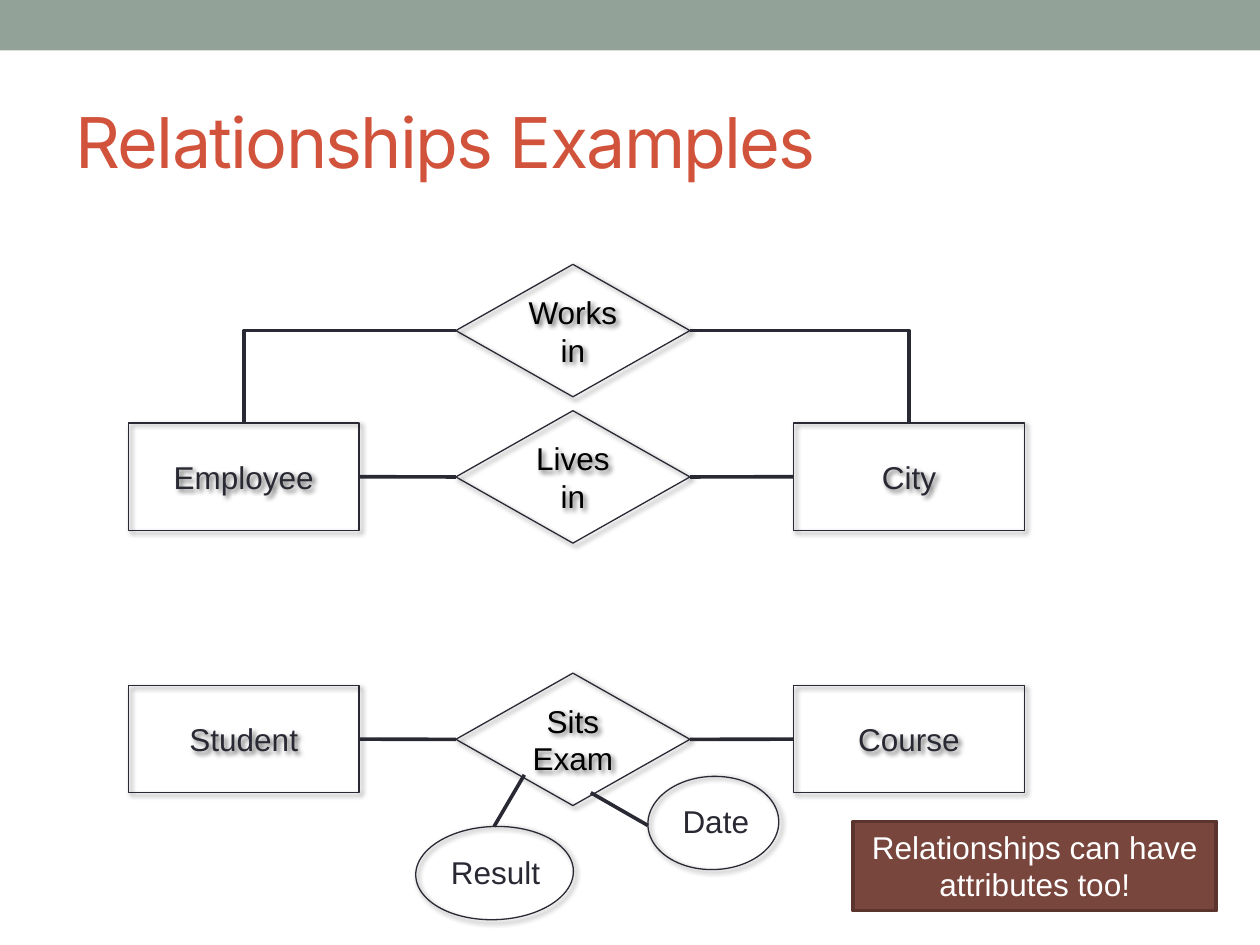
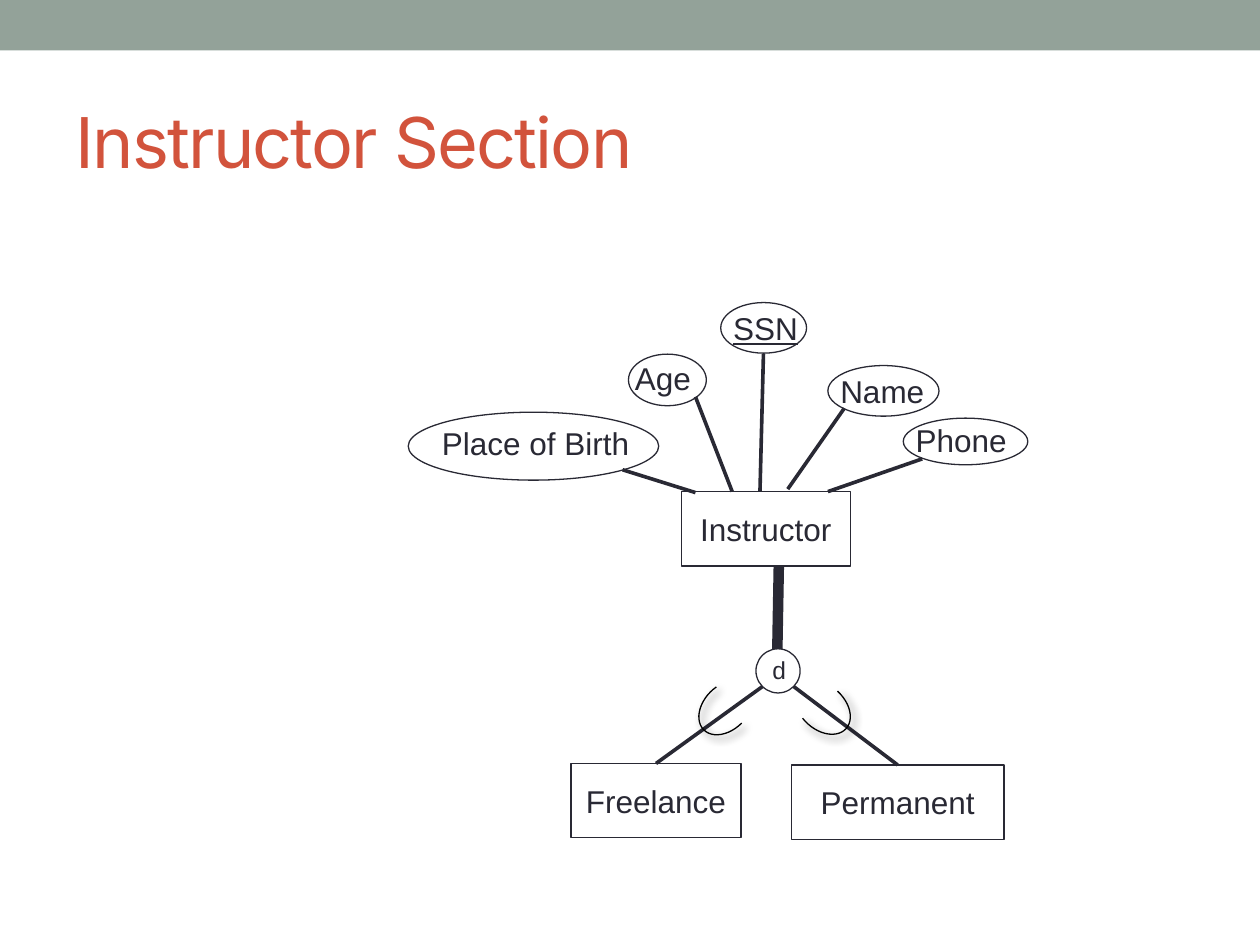
"""Build two entity-relationship diagram slides."""
from lxml.etree import SubElement
from pptx import Presentation
from pptx.dml.color import RGBColor
from pptx.enum.shapes import MSO_CONNECTOR, MSO_SHAPE
from pptx.enum.text import MSO_ANCHOR, MSO_AUTO_SIZE, PP_ALIGN
from pptx.oxml.ns import qn
from pptx.util import Cm, Pt

THEME = {
    "band": RGBColor.from_string("93A299"),
    "title": RGBColor.from_string("D2533C"),
    "ink": RGBColor.from_string("292934"),
    "black": RGBColor.from_string("000000"),
    "white": RGBColor.from_string("FFFFFF"),
    "note": RGBColor.from_string("79463D"),
    "note_line": RGBColor.from_string("5A342D"),
    "title_font": {"name": "Inter", "size": Pt(40), "bold": False},
    "body_font": {"name": "Arial", "size": Pt(18)},
    "small_font": {"name": "Arial", "size": Pt(14)},
    "key_font": {"name": "Arial", "size": Pt(18), "underline": True},
    "thin": Pt(0.75),
    "link": Pt(2.08),
    "heavy": Pt(6),
    "soft": (60, 3, 2),
    "deep": (75, 5, 3),
}


def add_node(s, kind, box, text="", color="ink", font="body_font", line="ink",
             fill=None, shadow=None, wrap=True):
    """Add an outlined shape, or a plain label when kind is None."""
    box = [Cm(v) for v in box]
    if kind is None:
        sp = s.shapes.add_textbox(*box)
    else:
        sp = s.shapes.add_shape(kind, *box)
        sp.shadow.inherit = False
        if fill:
            sp.fill.solid()
            sp.fill.fore_color.rgb = THEME[fill]
        else:
            sp.fill.background()
        if line:
            sp.line.color.rgb = THEME[line]
            sp.line.width = THEME["thin"]
        else:
            sp.line.fill.background()
    if shadow:
        alpha, blur, dist = THEME[shadow]
        effects = sp.element.spPr.find(qn("a:effectLst"))
        outer = SubElement(effects, qn("a:outerShdw"), blurRad=str(Pt(blur)),
                           dist=str(Pt(dist)), dir="2700000", algn="tl", rotWithShape="0")
        clr = SubElement(outer, qn("a:srgbClr"), val="000000")
        SubElement(clr, qn("a:alpha"), val=str(alpha * 1000))
    if text:
        tf = sp.text_frame
        tf.text = text
        tf.word_wrap = wrap
        tf.vertical_anchor = MSO_ANCHOR.MIDDLE if kind else MSO_ANCHOR.TOP
        if kind is None:
            tf.auto_size = MSO_AUTO_SIZE.SHAPE_TO_FIT_TEXT
        for p in tf.paragraphs:
            p.alignment = PP_ALIGN.CENTER if kind else PP_ALIGN.LEFT
            for r in p.runs:
                r.font.color.rgb = THEME[color]
                for name, value in THEME[font].items():
                    setattr(r.font, name, value)
    return sp


def add_link(s, start, end, width="link", kind=MSO_CONNECTOR.STRAIGHT):
    """Add a line; each end is a point in cm or a (shape, side) pair."""
    joined = [hasattr(e[0], "shape_id") for e in (start, end)]
    points = [(0, 0) if j else e for j, e in zip(joined, (start, end))]
    cx = s.shapes.add_connector(kind, *(Cm(v) for pt in points for v in pt))
    cx.line.color.rgb = THEME["ink"]
    cx.line.width = THEME[width]
    SubElement(cx.element.spPr, qn("a:effectLst"))
    if joined[0]:
        cx.begin_connect(*start)
    if joined[1]:
        cx.end_connect(*end)
    return cx


prs = Presentation()
prs.slide_width, prs.slide_height = Cm(25.4), Cm(19.05)

slides = []
for title in ("Relationships Examples", "Instructor Section"):
    s = prs.slides.add_slide(prs.slide_layouts[5])
    sp = s.shapes.title
    sp.left, sp.top, sp.width, sp.height = Cm(1.27), Cm(1.47), Cm(22.86), Cm(2.74)
    tf = sp.text_frame
    tf.text = title
    tf.auto_size = MSO_AUTO_SIZE.NONE
    tf.vertical_anchor = MSO_ANCHOR.MIDDLE
    p = tf.paragraphs[0]
    p.alignment = PP_ALIGN.LEFT
    r = p.runs[0]
    r.font.color.rgb = THEME["title"]
    for name, value in THEME["title_font"].items():
        setattr(r.font, name, value)
    r.font._element.set("spc", "-100")
    slides.append(s)

band = add_node(slides[0], MSO_SHAPE.RECTANGLE, (0, 0, 25.4, 1.02), fill="band", line=None)
prs.slide_master.shapes.element.insert(2, band.element)

s = slides[0]
works = add_node(s, MSO_SHAPE.DIAMOND, (9.19, 5.33, 4.72, 2.67), "Works in", "black",
                 shadow="soft")
rows = (
    (9.61, "Employee", "Lives in", "City"),
    (14.9, "Student", "Sits\nExam", "Course"),
)
entities = []
for middle, left_name, relation, right_name in rows:
    left, right = (
        add_node(s, MSO_SHAPE.RECTANGLE, (x, middle - 1.08, 4.65, 2.16), name, shadow="soft")
        for x, name in ((2.59, left_name), (16, right_name))
    )
    diamond = add_node(s, MSO_SHAPE.DIAMOND, (9.19, middle - 1.33, 4.72, 2.67), relation,
                       "black", shadow="soft")
    add_link(s, (left, 3), (diamond, 1))
    add_link(s, (diamond, 3), (right, 1))
    entities.append((left, right))

employee, city = entities[0]
for entity, side, turn, flip_h in ((employee, 1, 90, "1"), (city, 3, 270, "0")):
    cx = add_link(s, (entity, 0), (works, side), kind=MSO_CONNECTOR.ELBOW)
    mid_x, mid_y = cx.left + cx.width // 2, cx.top + cx.height // 2
    w, h = cx.height, cx.width
    cx.left, cx.top, cx.width, cx.height = mid_x - w // 2, mid_y - h // 2, w, h
    xfrm = cx.element.spPr.find(qn("a:xfrm"))
    for name, value in {"rot": str(turn * 60000), "flipH": flip_h, "flipV": "1"}.items():
        xfrm.set(name, value)
    cx.element.spPr.find(qn("a:prstGeom")).set("prst", "bentConnector2")

exam_attributes = (
    ("Date", (13.51, 16.05, 1.85, 1.02), (13.06, 15.65, 2.64, 1.88),
     (11.91, 15.98), (13.06, 16.64), False),
    ("Result", (8.84, 17.07, 2.67, 1.02), (8.38, 16.66, 3.18, 1.88),
     (10.57, 15.62), (9.96, 16.66), True),
)
for name, label_box, oval_box, start, end, wrap in exam_attributes:
    add_node(s, None, label_box, name, wrap=wrap)
    add_link(s, start, end)
    oval = add_node(s, MSO_SHAPE.OVAL, oval_box, shadow="soft")
    oval.rotation = 178.1

note = add_node(s, MSO_SHAPE.RECTANGLE, (17.2, 16.56, 7.32, 1.8),
                "Relationships can have attributes too!", "white",
                line="note_line", fill="note")
note.line.width = THEME["link"]
note.text_frame.vertical_anchor = MSO_ANCHOR.TOP
note.text_frame.auto_size = MSO_AUTO_SIZE.SHAPE_TO_FIT_TEXT

s = slides[1]
add_node(s, MSO_SHAPE.RECTANGLE, (13.74, 9.91, 3.4, 1.5), "Instructor")
instructor_attributes = (
    ("SSN", (14.53, 6.1, 1.73, 1.02), (14.53, 6.1, 1.83, 1.02),
     (15.39, 7.14), (15.32, 9.91), "key_font", False),
    ("Age", (12.67, 7.14, 1.57, 1.04), (12.55, 7.11, 1.7, 1.02),
     (14.02, 8), (14.76, 9.91), "body_font", False),
    ("Place of Birth", (8.23, 8.31, 5.05, 1.37), (8.66, 8.43, 4.57, 1.02),
     (12.55, 9.47), (14.02, 9.93), "body_font", True),
    ("Phone", (18.21, 8.43, 2.51, 0.94), (18.21, 8.36, 2.36, 1.02),
     (18.59, 9.25), (16.69, 9.91), "body_font", False),
    ("Name", (16.69, 7.37, 2.24, 1.02), (16.69, 7.37, 2.24, 1.02),
     (17.02, 8.23), (15.88, 9.86), "body_font", False),
)
for name, oval_box, label_box, start, end, font, wrap in instructor_attributes:
    add_node(s, MSO_SHAPE.OVAL, oval_box)
    add_link(s, start, end)
    add_node(s, None, label_box, name, font=font, wrap=wrap)

subclasses = (
    ("Freelance", (11.51, 15.39, 3.43, 1.5), (15.37, 13.84), 14, 134.9),
    ("Permanent", (15.95, 15.42, 4.29, 1.5), (16, 13.84), 15.95, 42.1),
)
for name, box, joint, arc_left, turn in subclasses:
    subclass = add_node(s, MSO_SHAPE.RECTANGLE, box, name)
    add_link(s, (subclass, 0), joint)
    arc = add_node(s, MSO_SHAPE.ARC, (arc_left, 13.82, 1.27, 0.89), line="black",
                   shadow="deep")
    arc.rotation = turn
    for i, degrees in enumerate((270, 110)):
        arc.adjustments[i] = degrees * 0.6

add_node(s, MSO_SHAPE.OVAL, (15.24, 13.08, 0.89, 0.89))
add_link(s, (15.7, 11.4), (15.67, 13.08), "heavy")
add_node(s, None, (15.32, 13.08, 0.79, 0.86), "d", font="small_font", wrap=False)

prs.save("out.pptx")
